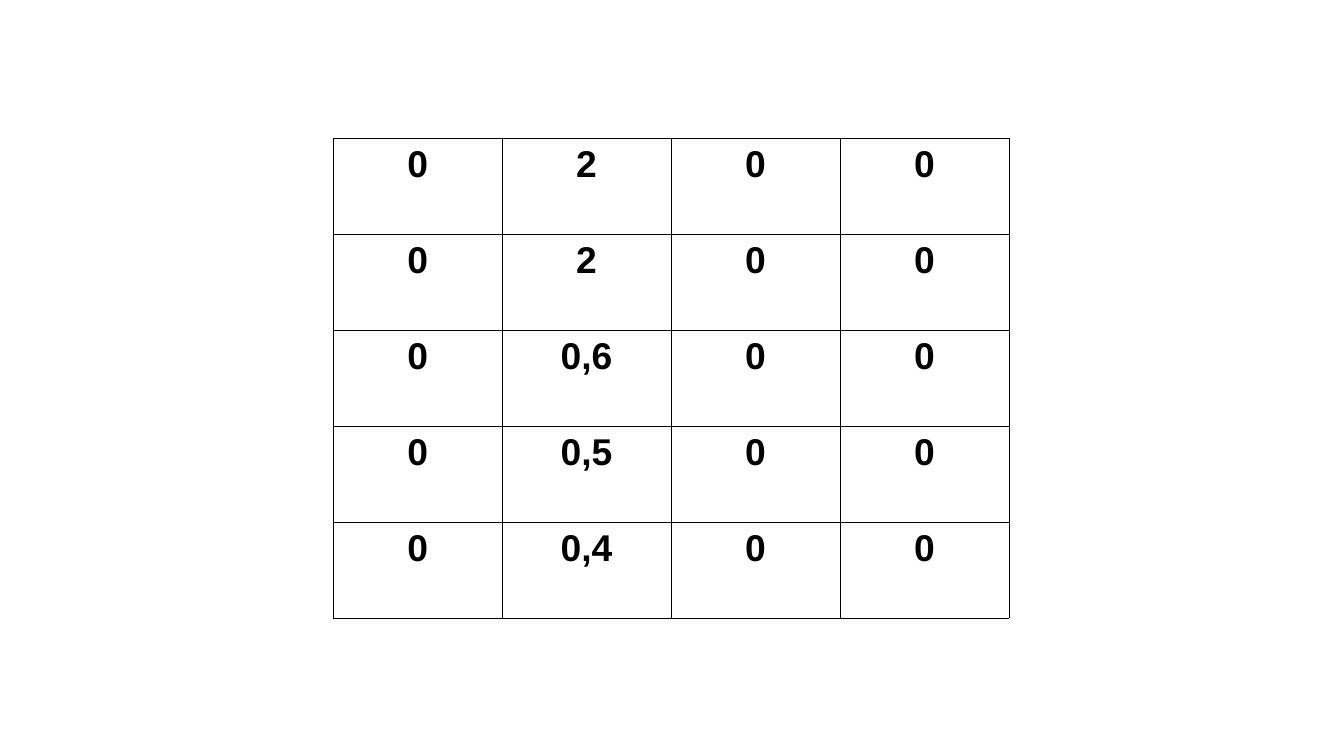
from typing import NamedTuple

from lxml import etree
from pptx import Presentation, util as u
from pptx.dml import color
from pptx.enum import text
from pptx.oxml import ns

HUES = {"ink": "000000", "paper": "FFFFFF"}
EDGE = u.Pt(0.06)


class Grid(NamedTuple):
    """Place, cell size and values of a table."""
    left: float
    top: float
    wide: float
    high: float
    rows: list[list[str]]


def rgb(name: str) -> color.RGBColor:
    """Look up a colour by name."""
    return color.RGBColor.from_string(HUES[name])


def frame(cell) -> None:
    """Draw a thin line on all four sides of a cell."""
    props = cell._tc.get_or_add_tcPr()
    for side in ("a:lnL", "a:lnR", "a:lnT", "a:lnB"):
        line = etree.SubElement(props, ns.qn(side), w=str(EDGE))
        fill = etree.SubElement(line, ns.qn("a:solidFill"))
        etree.SubElement(fill, ns.qn("a:srgbClr"), val=HUES["ink"])


def write(cell, value: str) -> None:
    """Fill a cell with one bold, centred value."""
    frame(cell)
    cell.fill.solid()
    cell.fill.fore_color.rgb = rgb("paper")
    par = cell.text_frame.paragraphs[0]
    par.text = value
    par.alignment = text.PP_ALIGN.CENTER
    font = par.runs[0].font
    font.name, font.size, font.bold = "Arial", u.Pt(22), True
    font.color.rgb = rgb("ink")


def draw(slide, grid: Grid) -> None:
    """Add the table that a grid describes."""
    count, span = len(grid.rows), len(grid.rows[0])
    table = slide.shapes.add_table(
        count, span, u.Cm(grid.left), u.Cm(grid.top),
        u.Cm(grid.wide * span), u.Cm(grid.high * count)).table
    table.first_row = table.horz_banding = False
    for row, values in zip(table.rows, grid.rows):
        for cell, value in zip(row.cells, values):
            write(cell, value)


deck = Presentation()
deck.slide_width, deck.slide_height = u.Cm(28), u.Cm(15.75)
slide = deck.slides.add_slide(deck.slide_layouts[6])
rates = ["2", "2", "0,6", "0,5", "0,4"]
draw(slide, Grid(6.94, 2.87, 3.52, 2, [["0", rate, "0", "0"] for rate in rates]))
deck.save("out.pptx")
